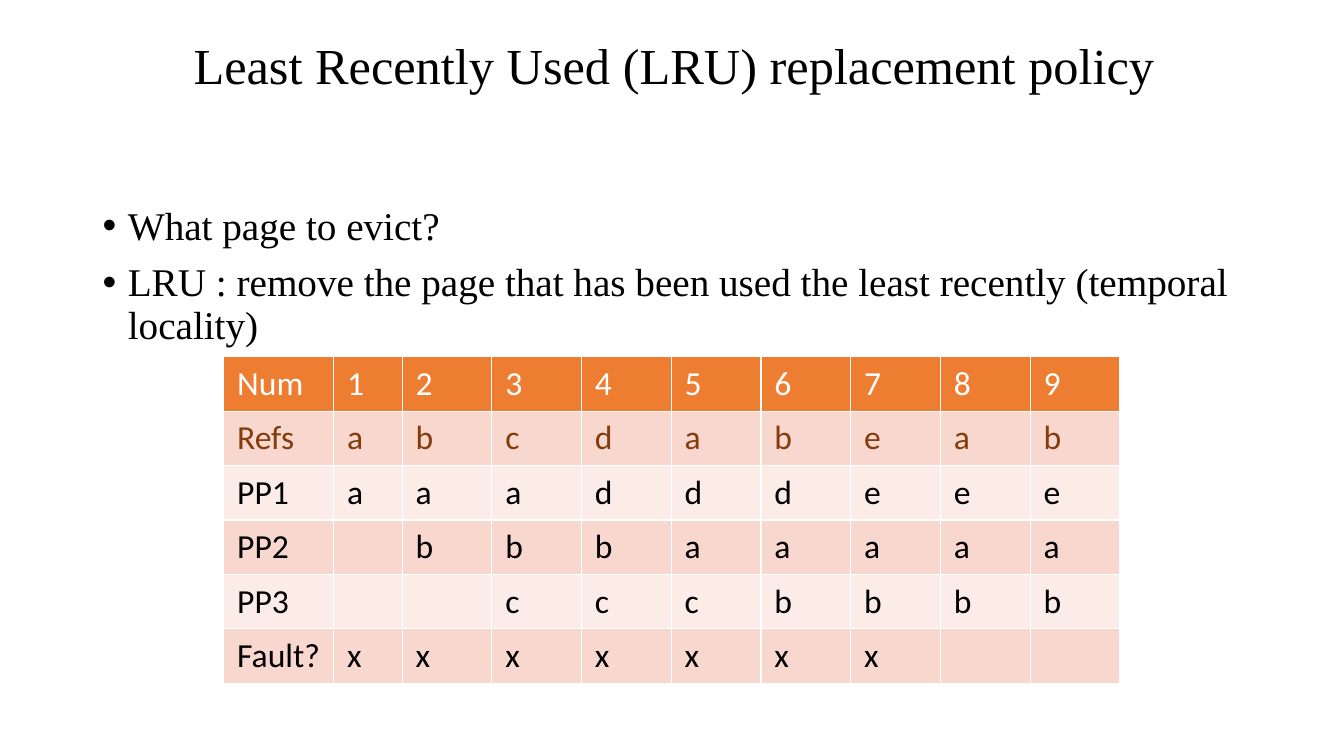
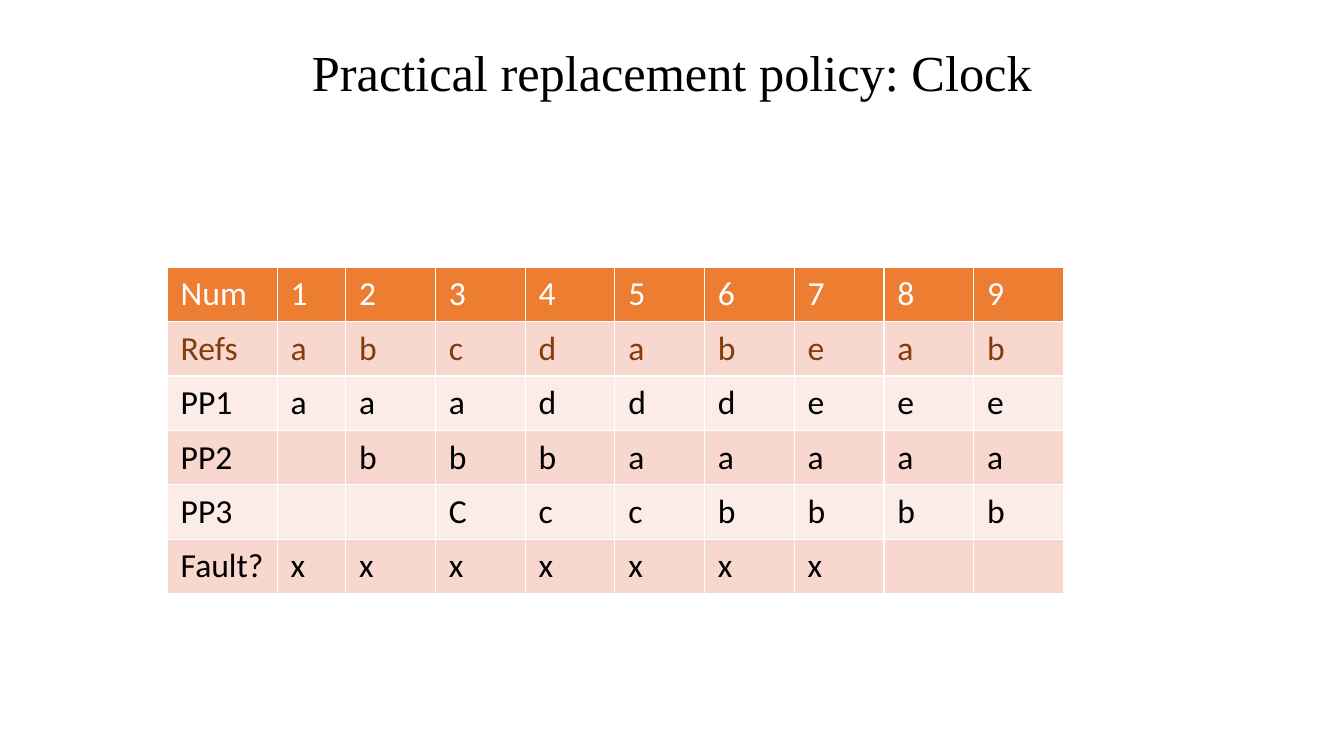
from dataclasses import dataclass

from lxml import etree
from pptx import Presentation
from pptx.dml.color import RGBColor
from pptx.enum.text import MSO_ANCHOR, PP_ALIGN
from pptx.oxml.ns import qn
from pptx.util import Inches, Pt

CENTER, LEFT = PP_ALIGN.CENTER, PP_ALIGN.LEFT
MIDDLE = MSO_ANCHOR.MIDDLE
TITLE_ONLY = 5
SLIDE_W, SLIDE_H = Inches(13.33), Inches(7.5)


@dataclass(frozen=True)
class Theme:
    """Colours, fonts and type sizes shared by the slides."""
    text: str = "000000"
    line: str = "FFFFFF"
    head_text: str = "FFFFFF"
    head_fill: str = "ED7D31"
    refs_text: str = "843C0C"
    bands: tuple = ("FCECE8", "F8D7CE")
    serif: str = "Times New Roman"
    sans: str = "Calibri"
    title_size: int = 36
    body_size: int = 28
    cell_size: int = 24
    line_spacing: float = 0.9


THEME = Theme()
COLUMN_WEIGHTS = [1.09, 0.68] + [0.89] * 8
TABLE_SHARE = (66.68, 43.2)
ROW_NAMES = ["Num", "Refs", "PP1", "PP2", "PP3", "Fault?"]
LRU_STEPS = ["123456789", "abcdabeab", "aaadddeee", " bbbaaaaa", "  cccbbbb", "xxxxxxx  "]
CLOCK_STEPS = LRU_STEPS[:4] + ["  Cccbbbb"] + LRU_STEPS[5:]


def box_of(left, top, width, height):
    """Turn percentages of the slide into a box in EMU."""
    return (int(SLIDE_W * left / 100), int(SLIDE_H * top / 100),
            int(SLIDE_W * width / 100), int(SLIDE_H * height / 100))


def style_runs(p, font, size, color):
    """Format every run of a paragraph."""
    for r in p.runs:
        r.font.name, r.font.size, r.font.bold = font, Pt(size), False
        r.font.color.rgb = RGBColor.from_string(color)


def add_title(s, text, box):
    """Place and format the title placeholder."""
    sp = s.shapes.title
    sp.left, sp.top, sp.width, sp.height = box
    tf = sp.text_frame
    tf.text, tf.vertical_anchor = text, MIDDLE
    p = tf.paragraphs[0]
    p.alignment, p.line_spacing = CENTER, THEME.line_spacing
    style_runs(p, THEME.serif, THEME.title_size, THEME.text)


def add_bullets(s, lines, box):
    """Write a bulleted list with hanging indents."""
    tf = s.shapes.add_textbox(*box).text_frame
    tf.word_wrap = True
    tf.text = "\n".join(lines)
    for p in tf.paragraphs:
        p.alignment, p.line_spacing, p.space_before = LEFT, THEME.line_spacing, Pt(10)
        style_runs(p, THEME.serif, THEME.body_size, THEME.text)
        pPr = p._p.get_or_add_pPr()
        pPr.set("marL", str(Inches(0.25)))
        pPr.set("indent", str(-Inches(0.25)))
        etree.SubElement(pPr, qn("a:buFont"), typeface="Arial")
        etree.SubElement(pPr, qn("a:buChar"), char="•")


def add_borders(cell):
    """Rule all four sides of a cell."""
    tcPr = cell._tc.get_or_add_tcPr()
    for side in ("lnL", "lnR", "lnT", "lnB"):
        ln = etree.SubElement(tcPr, qn(f"a:{side}"), w=str(Pt(1)))
        fill = etree.SubElement(ln, qn("a:solidFill"))
        etree.SubElement(fill, qn("a:srgbClr"), val=THEME.line)


def format_cell(cell, text, fill, color):
    """Fill, rule and label one table cell."""
    cell.margin_left = cell.margin_right = Pt(9.6)
    cell.margin_top = cell.margin_bottom = Pt(4.8)
    add_borders(cell)
    cell.fill.solid()
    cell.fill.fore_color.rgb = RGBColor.from_string(fill)
    cell.text_frame.text = text
    style_runs(cell.text_frame.paragraphs[0], THEME.sans, THEME.cell_size, color)


def add_trace_table(s, steps, box):
    """Show the page frames after each reference."""
    table = s.shapes.add_table(len(ROW_NAMES), len(COLUMN_WEIGHTS), *box).table
    for column, weight in zip(table.columns, COLUMN_WEIGHTS):
        column.width = int(box[2] * weight / sum(COLUMN_WEIGHTS))
    row_colors = {0: THEME.head_text, 1: THEME.refs_text}
    for i, (name, marks) in enumerate(zip(ROW_NAMES, steps)):
        fill = THEME.bands[i % 2] if i else THEME.head_fill
        for j, text in enumerate([name, *marks]):
            format_cell(table.cell(i, j), text.strip(), fill, row_colors.get(i, THEME.text))


def build_policy_slide(prs, title, title_box, steps, table_at, bullets=(), bullets_box=None):
    """Build a slide with a title, optional bullets and a trace table."""
    s = prs.slides.add_slide(prs.slide_layouts[TITLE_ONLY])
    add_title(s, title, box_of(*title_box))
    if bullets:
        add_bullets(s, bullets, box_of(*bullets_box))
    add_trace_table(s, steps, box_of(*table_at, *TABLE_SHARE))


def main():
    """Build and save the deck."""
    prs = Presentation()
    prs.slide_width, prs.slide_height = SLIDE_W, SLIDE_H
    build_policy_slide(
        prs, "Least Recently Used (LRU) replacement policy", (7.05, 2.4, 86.25, 13.2),
        LRU_STEPS, (16.65, 47.2),
        ["What page to evict?",
         "LRU : remove the page that has been used the least recently (temporal locality)"],
        (6.9, 26.67, 86.25, 63.47))
    build_policy_slide(
        prs, "Practical replacement policy: Clock", (6.9, 3.2, 86.25, 13.6),
        CLOCK_STEPS, (12.45, 35.33))
    prs.save("out.pptx")


main()
